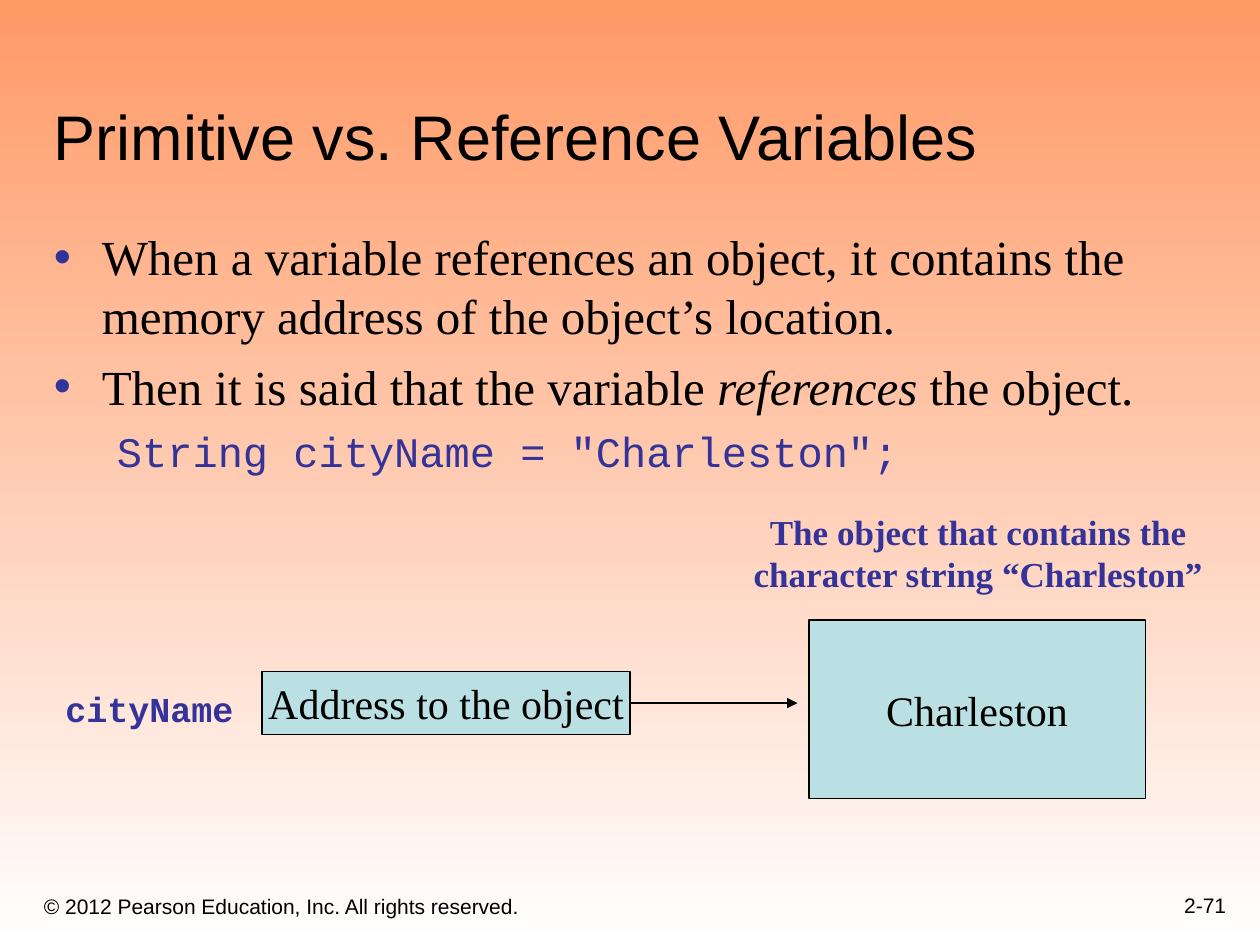
import pptx
import pptx.dml.color
import pptx.enum.shapes
import pptx.enum.text
import pptx.oxml
import pptx.oxml.ns
import pptx.util
from pptx.util import Inches

ALIGN = pptx.enum.text.PP_ALIGN
ANCHOR = pptx.enum.text.MSO_ANCHOR

THEME = {
    "black": "000000", "accent": "333399", "box": "BBE0E3",
    "sky": ("FF9966", "FFFFFF"),
    "sans": "Arial", "serif": "Times New Roman", "mono": "Courier New",
    "title": 36, "body": 28, "code": 24, "label": 20, "footer": 12,
    "line": 0.75,
}

TITLE = "Primitive vs. Reference Variables"
BULLETS = [
    [("When a variable references an object, it contains the memory address "
      "of the object’s location.", False)],
    [("Then it is said that the variable ", False), ("references", True), (" the object.", False)],
]
CODE = 'String cityName = "Charleston";'
VARIABLE = "cityName"
ADDRESS = "Address to the object"
OBJECT = "Charleston"
CAPTION = ["The object that contains the", "character string “Charleston”"]
COPYRIGHT = "© 2012 Pearson Education, Inc. All rights reserved."
PAGE = "2-71"


def color(name):
    return pptx.dml.color.RGBColor.from_string(THEME.get(name, name))


def add_xml(parent, tag, **attributes):
    child = pptx.oxml.parse_xml(f"<a:{tag} {pptx.oxml.ns.nsdecls('a')}/>")
    for key, value in attributes.items():
        child.set(key, str(value))
    parent.append(child)
    return child


def write(paragraph, text, *, font="serif", size="code", ink="black", bold=False,
          align=ALIGN.LEFT, before=0, indent=None, bullet=None):
    """Fill a paragraph with a string or with (string, italic) pairs."""
    paragraph.alignment = align
    paragraph.space_before = pptx.util.Pt(before)
    properties = paragraph._p.get_or_add_pPr()
    if indent:
        properties.set("marL", str(Inches(indent[0])))
        properties.set("indent", str(Inches(indent[1])))
    if bullet:
        add_xml(add_xml(properties, "buClr"), "srgbClr", val=THEME["accent"])
        add_xml(properties, "buFont", typeface=THEME["sans"])
        add_xml(properties, "buChar", char=bullet)
    for words, italic in [(text, False)] if isinstance(text, str) else text:
        run = paragraph.add_run()
        run.text = words
        run.font.name = THEME[font]
        run.font.size = pptx.util.Pt(THEME[size])
        run.font.color.rgb = color(ink)
        run.font.bold = bold
        run.font.italic = italic


def set_frame(shape, paragraphs, anchor=ANCHOR.TOP, wrap=True, grow=False):
    frame = shape.text_frame
    frame.word_wrap = wrap
    frame.vertical_anchor = anchor
    if grow:
        frame.auto_size = pptx.enum.text.MSO_AUTO_SIZE.SHAPE_TO_FIT_TEXT
    for index, (text, style) in enumerate(paragraphs):
        write(frame.add_paragraph() if index else frame.paragraphs[0], text, **style)
    return frame


def add_text(slide, place, paragraphs, **layout):
    return set_frame(slide.shapes.add_textbox(*map(Inches, place)), paragraphs, **layout)


def add_box(slide, place, text):
    box = slide.shapes.add_shape(pptx.enum.shapes.MSO_SHAPE.RECTANGLE, *map(Inches, place))
    box.shadow.inherit = False
    box.fill.solid()
    box.fill.fore_color.rgb = color("box")
    box.line.color.rgb = color("black")
    box.line.width = pptx.util.Pt(THEME["line"])
    set_frame(box, [(text, {"align": ALIGN.CENTER})], anchor=ANCHOR.MIDDLE, wrap=False)
    return box


def add_arrow(slide, source, end_x):
    y = source.top + source.height // 2
    arrow = slide.shapes.add_connector(
        pptx.enum.shapes.MSO_CONNECTOR.STRAIGHT,
        source.left + source.width, y, Inches(end_x), y)
    arrow.begin_connect(source, 3)
    arrow.line.color.rgb = color("black")
    arrow.line.width = pptx.util.Pt(THEME["line"])
    add_xml(arrow.line._get_or_add_ln(), "tailEnd", type="triangle")
    add_xml(arrow._element.spPr, "effectLst")


def main():
    deck = pptx.Presentation()
    deck.slide_width, deck.slide_height = Inches(10), Inches(7.5)
    slide = deck.slides.add_slide(deck.slide_layouts[6])

    sky = slide.background.fill
    sky.gradient()
    sky.gradient_angle = 270
    for stop, position, shade in zip(sky.gradient_stops, (0, 1), THEME["sky"]):
        stop.position = position
        stop.color.rgb = color(shade)

    footer = {"font": "sans", "size": "footer"}
    add_text(slide, (0.25, 6.92, 6.08, 0.42), [(COPYRIGHT, footer)], anchor=ANCHOR.BOTTOM)
    add_text(slide, (7.75, 6.83, 2.08, 0.5), [(PAGE, {**footer, "align": ALIGN.RIGHT})],
             anchor=ANCHOR.BOTTOM)
    add_text(slide, (0.33, 0.33, 9.42, 1.09), [(TITLE, {"font": "sans", "size": "title"})],
             anchor=ANCHOR.BOTTOM)

    points = [(text, {"size": "body", "bullet": "•", "indent": (0.38, -0.38),
                      "before": 7 if index else 0}) for index, text in enumerate(BULLETS)]
    code = (CODE, {"font": "mono", "ink": "accent", "indent": (0.81, -0.31), "before": 6})
    body = add_text(slide, (0.33, 1.75, 9.07, 2.58), points + [code])
    body.margin_right = 0

    add_box(slide, (6.42, 4.92, 2.67, 1.42), OBJECT)
    address = add_box(slide, (2.08, 5.33, 2.92, 0.5), ADDRESS)
    add_arrow(slide, address, 6.33)

    label = {"size": "label", "ink": "accent", "bold": True}
    add_text(slide, (0.42, 5.41, 1.58, 0.44), [(VARIABLE, {**label, "font": "mono"})],
             wrap=False, grow=True)
    add_text(slide, (5.88, 4, 3.77, 0.77),
             [(text, {**label, "align": ALIGN.CENTER}) for text in CAPTION],
             wrap=False, grow=True)

    deck.save("out.pptx")


if __name__ == "__main__":
    main()
